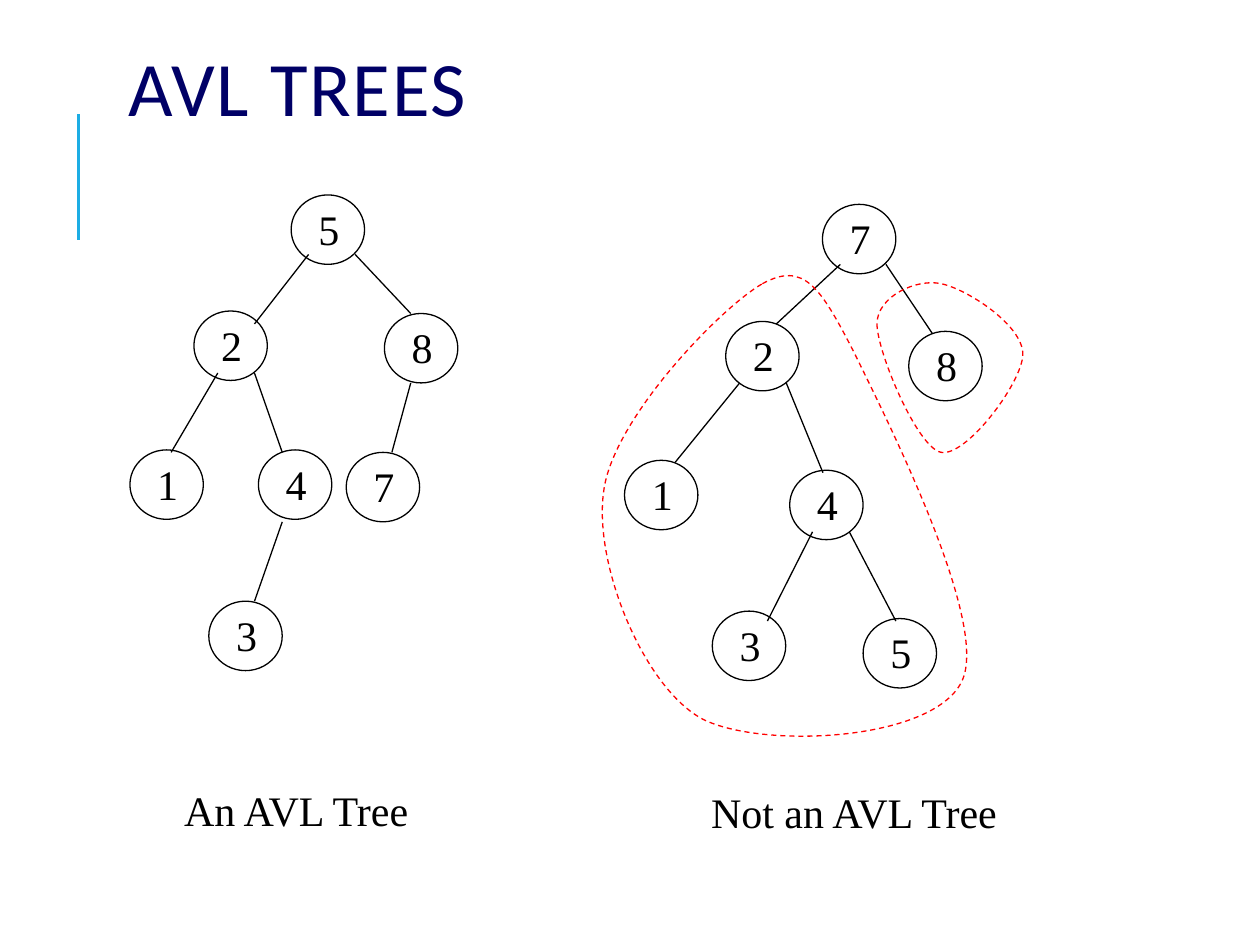
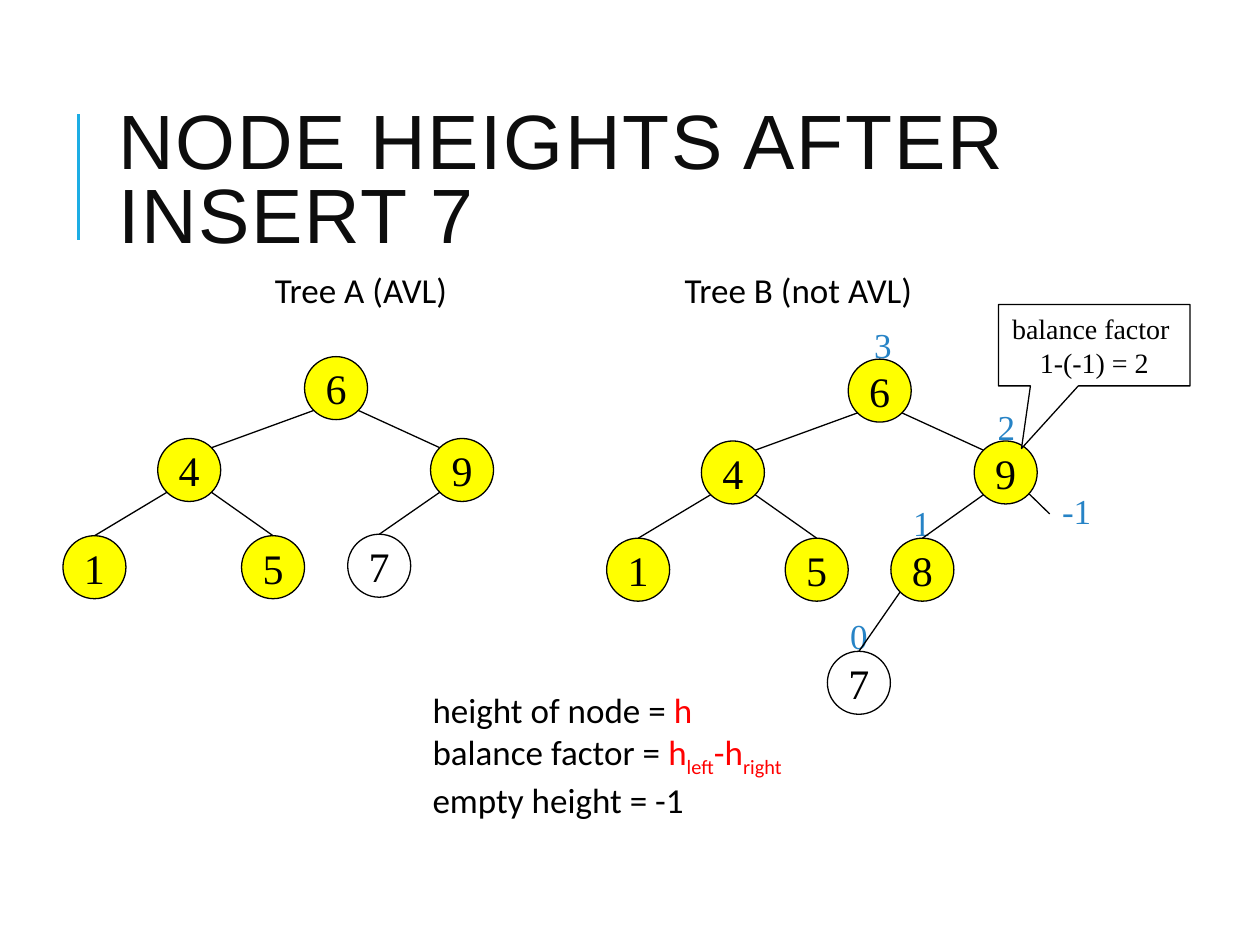
"""Build two slides on AVL trees and node heights."""
import dataclasses
import math
import typing

import lxml.etree
import pptx
import pptx.dml.color
import pptx.enum.dml
import pptx.enum.shapes
import pptx.enum.text
import pptx.oxml.ns
import pptx.shapes.autoshape
import pptx.slide
import pptx.text.text
import pptx.util

Cm = pptx.util.Cm
Pt = pptx.util.Pt
qn = pptx.oxml.ns.qn
ALIGN = pptx.enum.text.PP_ALIGN
SHAPE = pptx.enum.shapes.MSO_SHAPE
Point = tuple[float, float]
Box = tuple[float, float, float, float]

SERIF, SANS = "Times New Roman", "Calibri"
BLACK, WHITE, RED, YELLOW = "000000", "FFFFFF", "FF0000", "FFFF00"
NAVY, INK, ACCENT, BLUE = "000066", "0D0D0D", "1CADE4", "2683C6"
NODE_1 = (1.48, 1.4)
NODE_2 = (1.27, 1.27)
TREE_B_SHIFT = (10.96, 0.05)


class Node(typing.NamedTuple):
    label: str
    x: float
    y: float
    fill: str | None = None


class Label(typing.NamedTuple):
    text: str
    box: Box


@dataclasses.dataclass
class Diagram:
    nodes: list[Node]
    edges: list[tuple[Point, Point]]
    caption: Label


@dataclasses.dataclass
class Outline:
    start: Point
    curves: list[tuple[Point, Point, Point]]


AVL = Diagram(
    [Node("5", 5.87, 3.93), Node("2", 3.91, 6.27), Node("8", 7.75, 6.32), Node("1", 2.62, 9.07),
     Node("4", 5.21, 9.07), Node("3", 4.21, 12.12), Node("7", 6.98, 9.12)],
    [((6.22, 5.13), (5.13, 6.53)), ((7.16, 5.13), (8.28, 6.32)), ((4.39, 7.52), (3.45, 9.12)),
     ((5.13, 7.52), (5.69, 9.12)), ((5.69, 10.52), (5.13, 12.12)), ((8.28, 7.72), (7.9, 9.12))],
    Label("An AVL Tree", (2.92, 15.7, 6.1, 1.27)))
NOT_AVL = Diagram(
    [Node("7", 16.58, 4.12), Node("2", 14.63, 6.48), Node("8", 18.32, 6.68), Node("1", 12.59, 9.28),
     Node("4", 15.92, 9.48), Node("3", 14.36, 12.32), Node("5", 17.4, 12.47)],
    [((16.94, 5.33), (15.65, 6.53)), ((17.86, 5.33), (18.8, 6.73)), ((14.91, 7.72), (13.61, 9.32)),
     ((15.85, 7.72), (16.59, 9.53)), ((16.38, 10.72), (15.47, 12.52)), ((17.12, 10.72), (18.06, 12.52))],
    Label("Not an AVL Tree", (13.62, 15.73, 7.19, 1.27)))
SUBTREES = [
    Outline((15.37, 5.72), [((16.21, 5.26), (16.54, 5.79), (17.22, 7.11)),
                            ((17.88, 8.46), (19.91, 12.47), (19.41, 13.69)),
                            ((18.9, 14.94), (15.39, 15.11), (14.17, 14.5)),
                            ((12.98, 13.87), (11.96, 11.38), (12.17, 9.91)),
                            ((12.34, 8.46), (14.53, 6.2), (15.37, 5.72))]),
    Outline((17.68, 6.53), [((17.68, 7.09), (18.49, 9.02), (18.97, 9.12)),
                            ((19.48, 9.22), (20.62, 7.7), (20.62, 7.14)),
                            ((20.62, 6.55), (19.48, 5.82), (18.97, 5.72)),
                            ((18.49, 5.61), (17.68, 5.97), (17.68, 6.53))]),
]
COMMON_NODES = [Node("6", 6.14, 7.19, YELLOW), Node("4", 3.18, 8.84, YELLOW), Node("9", 8.68, 8.84, YELLOW),
                Node("1", 1.27, 10.8, YELLOW), Node("5", 4.87, 10.8, YELLOW)]
COMMON_LINKS = ["64", "69", "41", "45"]
HEIGHTS = [Label("2", (19.86, 8.05, 0.86, 1.09)), Label("1", (18.16, 9.98, 0.86, 1.09)),
           Label("3", (17.37, 6.4, 0.86, 1.09)), Label("0", (16.89, 12.27, 0.86, 1.09)),
           Label("-1", (21.16, 9.74, 1.09, 1.09))]
HEADINGS = [Label("Tree A (AVL)", (5.29, 5.29, 4.65, 1.09)),
            Label("Tree B (not AVL)", (13.55, 5.29, 6.35, 1.09))]
FORMULAS = [[("height of node = ", BLACK, 0), ("h", RED, 0)],
            [("balance factor = ", BLACK, 0), ("h", RED, 0), ("left", RED, -25), ("-h", RED, 0),
             ("right", RED, -25)],
            [("empty height = -1", BLACK, 0)]]


def rgb(value: str) -> pptx.dml.color.RGBColor:
    return pptx.dml.color.RGBColor.from_string(value)


def add_text(p: pptx.text.text._Paragraph, text: str, *, size: float = 24, font: str = SERIF,
             color: str = BLACK, align: ALIGN = ALIGN.LEFT, spacing: int = 0, baseline: int = 0) -> None:
    p.alignment = align
    r = p.add_run()
    r.text = text
    r.font.size, r.font.name = Pt(size), font
    r.font.color.rgb = rgb(color)
    r_pr = r._r.get_or_add_rPr()
    if spacing:
        r_pr.set("spc", str(spacing * 100))
    if baseline:
        r_pr.set("baseline", str(baseline * 1000))


def add_box(slide: pptx.slide.Slide, box: Box, wrap: bool = True) -> pptx.text.text.TextFrame:
    tf = slide.shapes.add_textbox(*map(Cm, box)).text_frame
    tf.word_wrap = wrap
    tf.auto_size = pptx.enum.text.MSO_AUTO_SIZE.SHAPE_TO_FIT_TEXT
    return tf


def style_shape(sp: pptx.shapes.autoshape.Shape, fill: str | None = None, line: str = BLACK) -> None:
    sp.shadow.inherit = False
    if fill:
        sp.fill.solid()
        sp.fill.fore_color.rgb = rgb(fill)
    else:
        sp.fill.background()
    sp.line.color.rgb = rgb(line)
    sp.line.width = Pt(0.75)


def add_shape(slide: pptx.slide.Slide, kind: SHAPE, box: Box,
              fill: str | None = None) -> pptx.shapes.autoshape.Shape:
    sp = slide.shapes.add_shape(kind, *map(Cm, box))
    style_shape(sp, fill)
    sp.text_frame.word_wrap = False
    sp.text_frame.vertical_anchor = pptx.enum.text.MSO_ANCHOR.MIDDLE
    return sp


def add_node(slide: pptx.slide.Slide, node: Node, size: Point) -> pptx.shapes.autoshape.Shape:
    return add_shape(slide, SHAPE.OVAL, (node.x, node.y, *size), node.fill)


def add_line(slide: pptx.slide.Slide, start: Point, end: Point, color: str = BLACK, width: float = 0.75) -> None:
    line = slide.shapes.add_connector(pptx.enum.shapes.MSO_CONNECTOR.STRAIGHT, *map(Cm, start + end))
    line.line.color.rgb = rgb(color)
    line.line.width = Pt(width)
    lxml.etree.SubElement(line._element.spPr, qn("a:effectLst"))


def add_outline(slide: pptx.slide.Slide, outline: Outline) -> None:
    builder = slide.shapes.build_freeform(*map(Cm, outline.start))
    builder.add_line_segments([tuple(map(Cm, point)) for curve in outline.curves for point in curve])
    sp = builder.convert_to_shape()
    style_shape(sp, line=RED)
    sp.line.dash_style = pptx.enum.dml.MSO_LINE.DASH
    segments = list(sp._element.iter(qn("a:lnTo")))
    for i in range(0, len(segments), 3):
        curve = lxml.etree.Element(qn("a:cubicBezTo"))
        segments[i].addprevious(curve)
        for segment in segments[i:i + 3]:
            curve.append(segment[0])
            segment.getparent().remove(segment)


def add_slide(prs: pptx.Presentation, title: str, box: Box, font: str, color: str) -> pptx.slide.Slide:
    slide = prs.slides.add_slide(prs.slide_layouts[5])
    sp = slide.shapes.title
    sp.left, sp.top, sp.width, sp.height = map(Cm, box)
    tf = sp.text_frame
    tf.word_wrap = True
    tf.auto_size = pptx.enum.text.MSO_AUTO_SIZE.NONE
    tf.vertical_anchor = pptx.enum.text.MSO_ANCHOR.MIDDLE
    p = tf.paragraphs[0]
    p.line_spacing = 0.8
    add_text(p, title, size=44, font=font, color=color, spacing=1)
    add_line(slide, (1.58, 4.83), (1.58, 2.29), ACCENT, 1.5)
    return slide


def rim(node: Node, dx: int, dy: int) -> Point:
    radius = NODE_2[0] / 2
    reach = radius / math.hypot(dx, dy)
    return node.x + radius + dx * reach, node.y + radius + dy * reach


def add_tree(slide: pptx.slide.Slide, nodes: list[Node], links: list[str], shift: Point = (0, 0)) -> None:
    placed = {n.label: n._replace(x=n.x + shift[0], y=n.y + shift[1]) for n in nodes}
    for node in placed.values():
        sp = add_node(slide, node, NODE_2)
        add_text(sp.text_frame.paragraphs[0], node.label, align=ALIGN.CENTER)
    for upper, lower in links:
        parent, child = placed[upper], placed[lower]
        dx, dy = child.x - parent.x, child.y - parent.y
        side = 1 if dx > 0 else -1
        is_flat = abs(dx) > 1.2 * dy
        add_line(slide, rim(parent, side, 1), rim(child, -side if is_flat else 0, -1))


def build_avl_slide(prs: pptx.Presentation) -> None:
    slide = add_slide(prs, "AVL TREES", (2.34, 0.64, 21.59, 2.54), SANS, NAVY)
    for diagram in (AVL, NOT_AVL):
        for node in diagram.nodes:
            add_node(slide, node, NODE_1)
            tf = add_box(slide, (node.x + 0.3, node.y + 0.04, 1.12, 1.27))
            add_text(tf.paragraphs[0], node.label)
        for start, end in diagram.edges:
            add_line(slide, start, end)
        tf = add_box(slide, diagram.caption.box)
        add_text(tf.paragraphs[0], diagram.caption.text, align=ALIGN.CENTER)
    for outline in SUBTREES:
        add_outline(slide, outline)


def build_heights_slide(prs: pptx.Presentation) -> None:
    slide = add_slide(prs, "NODE HEIGHTS AFTER INSERT 7", (2.13, 1.63, 20.24, 4.17), "Arial", INK)
    for height in HEIGHTS:
        tf = add_box(slide, height.box, wrap=False)
        add_text(tf.paragraphs[0], height.text, size=20, color=BLUE)
    for heading in HEADINGS:
        tf = add_box(slide, heading.box)
        add_text(tf.paragraphs[0], heading.text, size=20, font=SANS)

    add_tree(slide, COMMON_NODES + [Node("7", 7.01, 10.77)], COMMON_LINKS + ["97"])
    add_tree(slide, COMMON_NODES + [Node("8", 7.0, 10.8, YELLOW), Node("7", 5.72, 13.08)],
             COMMON_LINKS + ["98", "87"], TREE_B_SHIFT)
    add_line(slide, (20.75, 9.96), (21.16, 10.36))

    tf = add_box(slide, (8.47, 13.76, 8.26, 2.79), wrap=False)
    for i, formula in enumerate(FORMULAS):
        p = tf.add_paragraph() if i else tf.paragraphs[0]
        for text, color, baseline in formula:
            add_text(p, text, size=20, font=SANS, color=color, baseline=baseline)

    callout = add_shape(slide, SHAPE.RECTANGULAR_CALLOUT, (20.13, 6.14, 3.86, 1.64), WHITE)
    callout.adjustments[0], callout.adjustments[1] = -0.38, 1.27
    tf = callout.text_frame
    tf.auto_size = pptx.enum.text.MSO_AUTO_SIZE.SHAPE_TO_FIT_TEXT
    add_text(tf.paragraphs[0], "balance factor ", size=16, align=ALIGN.CENTER)
    add_text(tf.add_paragraph(), "1-(-1) = 2", size=16, align=ALIGN.CENTER)


def main() -> None:
    prs = pptx.Presentation()
    prs.slide_width, prs.slide_height = Cm(25.4), Cm(19.05)
    build_avl_slide(prs)
    build_heights_slide(prs)
    prs.save("out.pptx")


if __name__ == "__main__":
    main()
